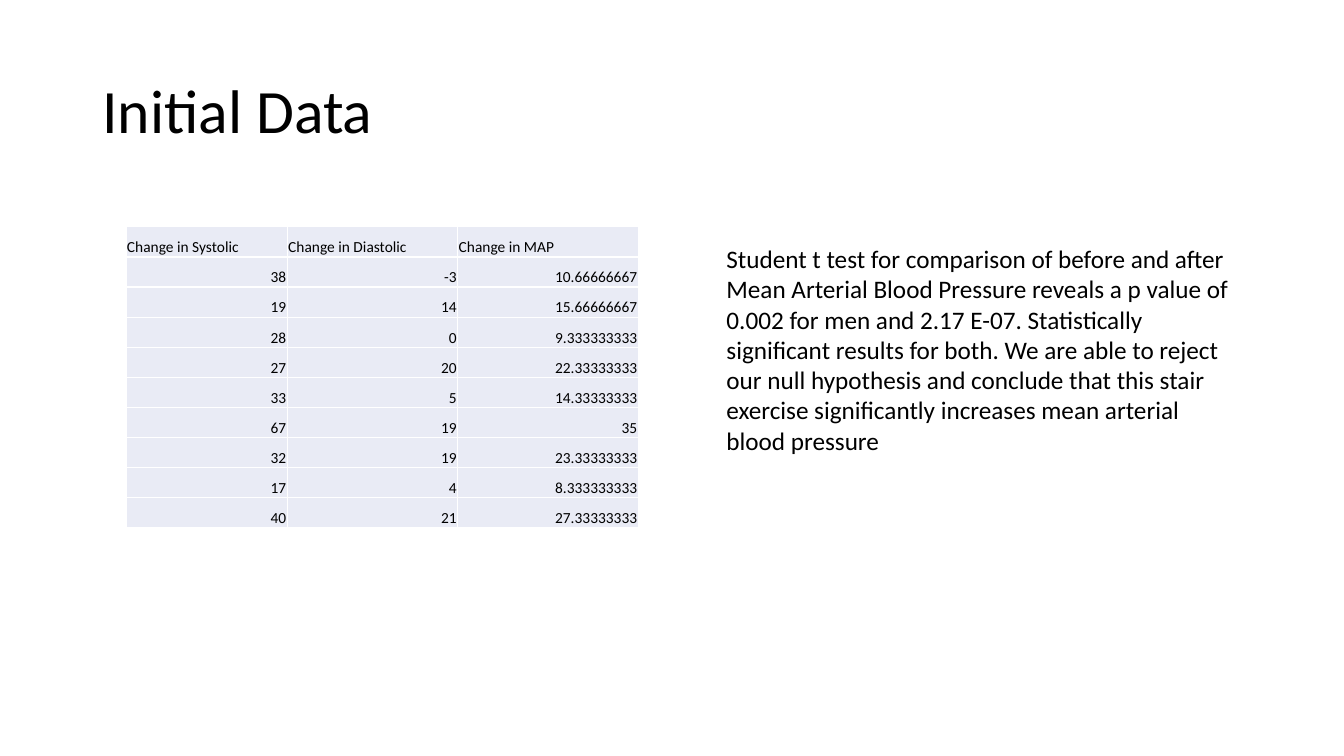
from dataclasses import dataclass
from typing import Any

from lxml.etree import SubElement
from pptx import Presentation
from pptx.dml.color import RGBColor
from pptx.enum.text import MSO_ANCHOR as Anchor, MSO_AUTO_SIZE as AutoSize, PP_ALIGN as Align
from pptx.oxml.ns import qn
from pptx.util import Inches, Pt

BLACK = RGBColor(0x00, 0x00, 0x00)
WHITE = RGBColor(0xFF, 0xFF, 0xFF)
PALE_BLUE = RGBColor(0xE9, 0xEB, 0xF5)
FONT = "Calibri"

SLIDE_WIDTH, SLIDE_HEIGHT = Inches(13.333), Inches(7.5)
GRID_COLUMNS, GRID_ROWS = 160, 90

COLUMN_SPANS = (19.2, 20.3, 21.5)
ROW_SPAN = 3.59
CELL_FORMAT = {
    "vertical_anchor": Anchor.BOTTOM,
    "margin_left": Inches(0.01),
    "margin_right": Inches(0.01),
    "margin_top": Inches(0.01),
    "margin_bottom": 0,
}
TITLE_FORMAT = {
    "vertical_anchor": Anchor.MIDDLE,
    "word_wrap": True,
    "auto_size": AutoSize.NONE,
}
NOTE_FORMAT = {"word_wrap": True, "auto_size": AutoSize.SHAPE_TO_FIT_TEXT}

HEADINGS = ("Change in Systolic", "Change in Diastolic", "Change in MAP")
READINGS = (
    ("38", "-3", "10.66666667"),
    ("19", "14", "15.66666667"),
    ("28", "0", "9.333333333"),
    ("27", "20", "22.33333333"),
    ("33", "5", "14.33333333"),
    ("67", "19", "35"),
    ("32", "19", "23.33333333"),
    ("17", "4", "8.333333333"),
    ("40", "21", "27.33333333"),
)
CONCLUSION = (
    "Student t test for comparison of before and after Mean Arterial Blood Pressure "
    "reveals a p value of 0.002 for men and 2.17 E-07. Statistically significant "
    "results for both. We are able to reject our null hypothesis and conclude that "
    "this stair exercise significantly increases mean arterial blood pressure"
)


def across(columns: float) -> int:
    return round(SLIDE_WIDTH * columns / GRID_COLUMNS)


def down(rows: float) -> int:
    return round(SLIDE_HEIGHT * rows / GRID_ROWS)


@dataclass(frozen=True)
class Area:
    column: float
    row: float
    columns: float
    rows: float

    def bounds(self) -> tuple[int, int, int, int]:
        return across(self.column), down(self.row), across(self.columns), down(self.rows)


TITLE_AREA = Area(11, 4.8, 138, 17.4)
TABLE_AREA = Area(15, 27, sum(COLUMN_SPANS), ROW_SPAN * (len(READINGS) + 1))
NOTE_AREA = Area(85.3, 28.4, 62.3, 26.6)


def apply_format(target: Any, values: dict[str, Any]) -> None:
    for name, value in values.items():
        setattr(target, name, value)


def write_text(frame: Any, text: str, size: float, align: Align = Align.LEFT) -> None:
    para = frame.paragraphs[0]
    para.alignment = align
    span = para.add_run()
    span.text = text
    apply_format(span.font, {"name": FONT, "size": Pt(size)})
    span.font.color.rgb = BLACK


def add_borders(cell: Any) -> None:
    properties = cell._tc.get_or_add_tcPr()
    for side in ("a:lnL", "a:lnR", "a:lnT", "a:lnB"):
        line = SubElement(properties, qn(side), w=str(Pt(1)))
        fill = SubElement(line, qn("a:solidFill"))
        SubElement(fill, qn("a:srgbClr"), val=str(WHITE))


def draw_title(page: Any) -> None:
    title = page.shapes.title
    bounds = zip(("left", "top", "width", "height"), TITLE_AREA.bounds())
    apply_format(title, dict(bounds))
    apply_format(title.text_frame, TITLE_FORMAT)
    write_text(title.text_frame, "Initial Data", 44)
    title.text_frame.paragraphs[0].line_spacing = 0.9


def draw_table(page: Any) -> None:
    rows = (HEADINGS, *READINGS)
    table = page.shapes.add_table(len(rows), len(HEADINGS), *TABLE_AREA.bounds()).table
    apply_format(table, {"first_row": False, "horz_banding": False})
    for column, columns in zip(table.columns, COLUMN_SPANS):
        column.width = across(columns)
    for row_index, texts in enumerate(rows):
        table.rows[row_index].height = down(ROW_SPAN)
        align = Align.RIGHT if row_index else Align.LEFT
        for column_index, text in enumerate(texts):
            cell = table.cell(row_index, column_index)
            apply_format(cell, CELL_FORMAT)
            add_borders(cell)
            cell.fill.solid()
            cell.fill.fore_color.rgb = PALE_BLUE
            write_text(cell.text_frame, text, 11, align)


def draw_conclusion(page: Any) -> None:
    box = page.shapes.add_textbox(*NOTE_AREA.bounds())
    apply_format(box.text_frame, NOTE_FORMAT)
    write_text(box.text_frame, CONCLUSION, 18)


def main() -> None:
    deck = Presentation()
    apply_format(deck, {"slide_width": SLIDE_WIDTH, "slide_height": SLIDE_HEIGHT})
    page = deck.slides.add_slide(deck.slide_layouts.get_by_name("Title Only"))
    draw_title(page)
    draw_table(page)
    draw_conclusion(page)
    deck.save("out.pptx")


if __name__ == "__main__":
    main()
